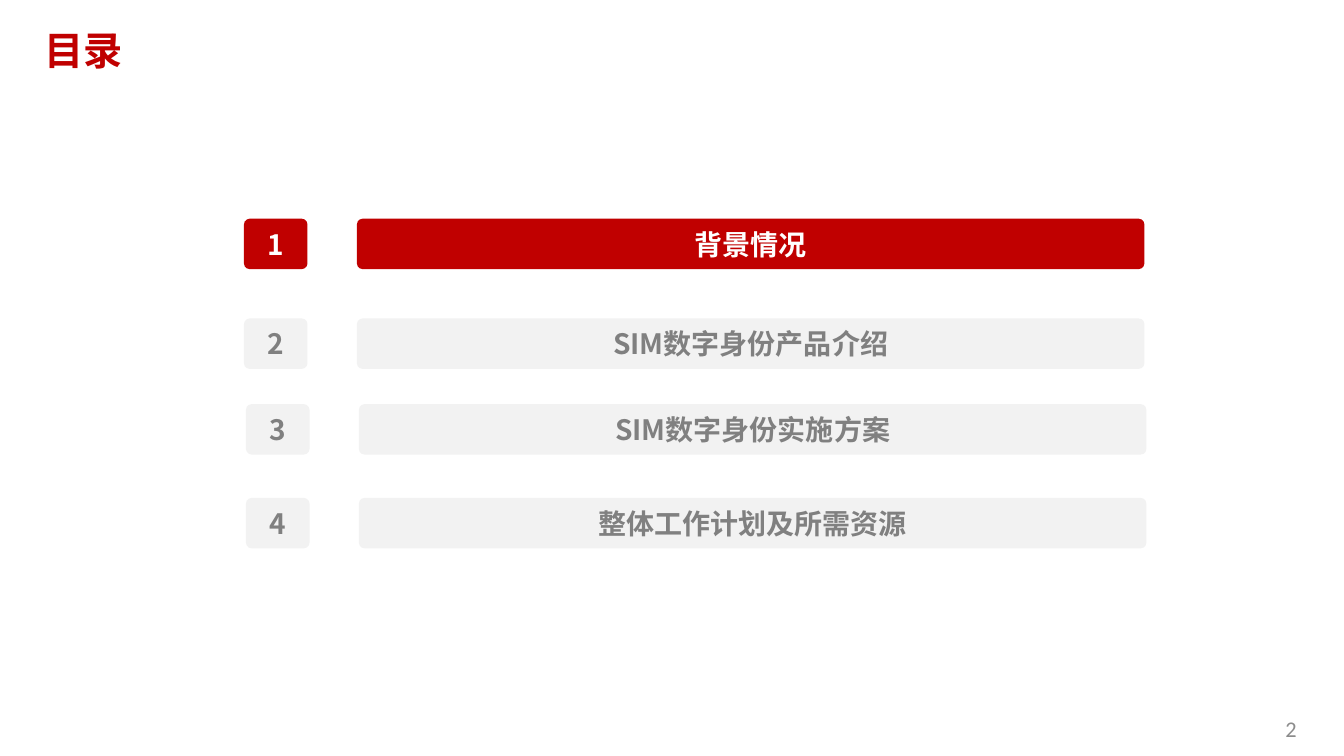
from dataclasses import dataclass

from lxml import etree
from pptx import Presentation
from pptx.dml.color import RGBColor
from pptx.enum.shapes import MSO_SHAPE
from pptx.enum.text import MSO_ANCHOR, PP_ALIGN
from pptx.oxml.ns import qn
from pptx.util import Inches, Pt

ROUNDED = MSO_SHAPE.ROUNDED_RECTANGLE
MIDDLE = MSO_ANCHOR.MIDDLE
LEFT, CENTER = PP_ALIGN.LEFT, PP_ALIGN.CENTER
TITLE_ONLY = 5


@dataclass(frozen=True)
class Theme:
    """Colours, fonts and type sizes of the slide."""
    accent: str = "C00000"
    on_accent: str = "FFFFFF"
    muted: str = "F2F2F2"
    on_muted: str = "808080"
    page_number: str = "8C8C8C"
    font: str = "Noto Sans CJK SC"
    number_font: str = "Calibri"
    title_size: int = 28
    agenda_size: int = 20
    number_size: int = 16


THEME = Theme()
AGENDA = [
    ("背景情况", 2.42, 2.17),
    ("SIM数字身份产品介绍", 2.42, 3.16),
    ("SIM数字身份实施方案", 2.44, 4.01),
    ("整体工作计划及所需资源", 2.44, 4.94),
]
CURRENT = 1


def write(shape, text, size, color, alignment, font=THEME.font, bold=True):
    """Write one formatted paragraph, with the font set for all scripts."""
    paragraph = shape.text_frame.paragraphs[0]
    paragraph.text = text
    paragraph.alignment = alignment
    paragraph.font.size = Pt(size)
    paragraph.font.bold = bold
    paragraph.font.color.rgb = RGBColor.from_string(color)
    paragraph.font.name = font
    properties = paragraph._p.pPr.find(qn("a:defRPr"))
    etree.SubElement(properties, qn("a:ea")).set("typeface", font)


def add_title(slide, text, left, top, width, height):
    """Place and format the title placeholder."""
    title = slide.shapes.title
    title.left, title.top = Inches(left), Inches(top)
    title.width, title.height = Inches(width), Inches(height)
    frame = title.text_frame
    frame.vertical_anchor = MIDDLE
    frame.margin_left = frame.margin_right = Inches(0.07)
    frame.margin_top = frame.margin_bottom = Inches(0.04)
    write(title, text, THEME.title_size, THEME.accent, LEFT)


def add_bar(group, text, left, top, width, height, fill, color):
    """Add one rounded bar with centred text."""
    bar = group.shapes.add_shape(
        ROUNDED, Inches(left), Inches(top), Inches(width), Inches(height))
    bar.adjustments[0] = 0.113
    bar.shadow.inherit = False
    bar.fill.solid()
    bar.fill.fore_color.rgb = RGBColor.from_string(fill)
    bar.line.fill.background()
    frame = bar.text_frame
    frame.word_wrap = True
    frame.vertical_anchor = MIDDLE
    frame.margin_left = frame.margin_right = Inches(0.08)
    write(bar, text, THEME.agenda_size, color, CENTER)


def add_agenda_row(slide, number, text, left, top, width, height):
    """Group a number tile and its topic bar, highlighting the current one."""
    colors = ((THEME.accent, THEME.on_accent) if number == CURRENT
              else (THEME.muted, THEME.on_muted))
    tile_width, topic_offset = 0.63, 1.12
    group = slide.shapes.add_group_shape()
    add_bar(group, text, left + topic_offset, top,
            width - topic_offset, height, *colors)
    add_bar(group, str(number), left, top, tile_width, height, *colors)


def add_page_number(slide, number, left, top, width, height):
    """Add the page number in the corner."""
    box = slide.shapes.add_textbox(
        Inches(left), Inches(top), Inches(width), Inches(height))
    box.text_frame.word_wrap = False
    write(box, str(number), THEME.number_size, THEME.page_number, LEFT,
          THEME.number_font, False)


def main():
    """Build the agenda slide and save it."""
    presentation = Presentation()
    presentation.slide_width = Inches(13.33)
    presentation.slide_height = Inches(7.5)
    slide = presentation.slides.add_slide(presentation.slide_layouts[TITLE_ONLY])
    add_title(slide, "目录", 0.37, 0.13, 12.78, 0.72)
    for number, (text, left, top) in enumerate(AGENDA, start=1):
        add_agenda_row(slide, number, text, left, top, 8.93, 0.5)
    add_page_number(slide, 2, 12.65, 7.05, 0.46, 0.37)
    presentation.save("out.pptx")


if __name__ == "__main__":
    main()
